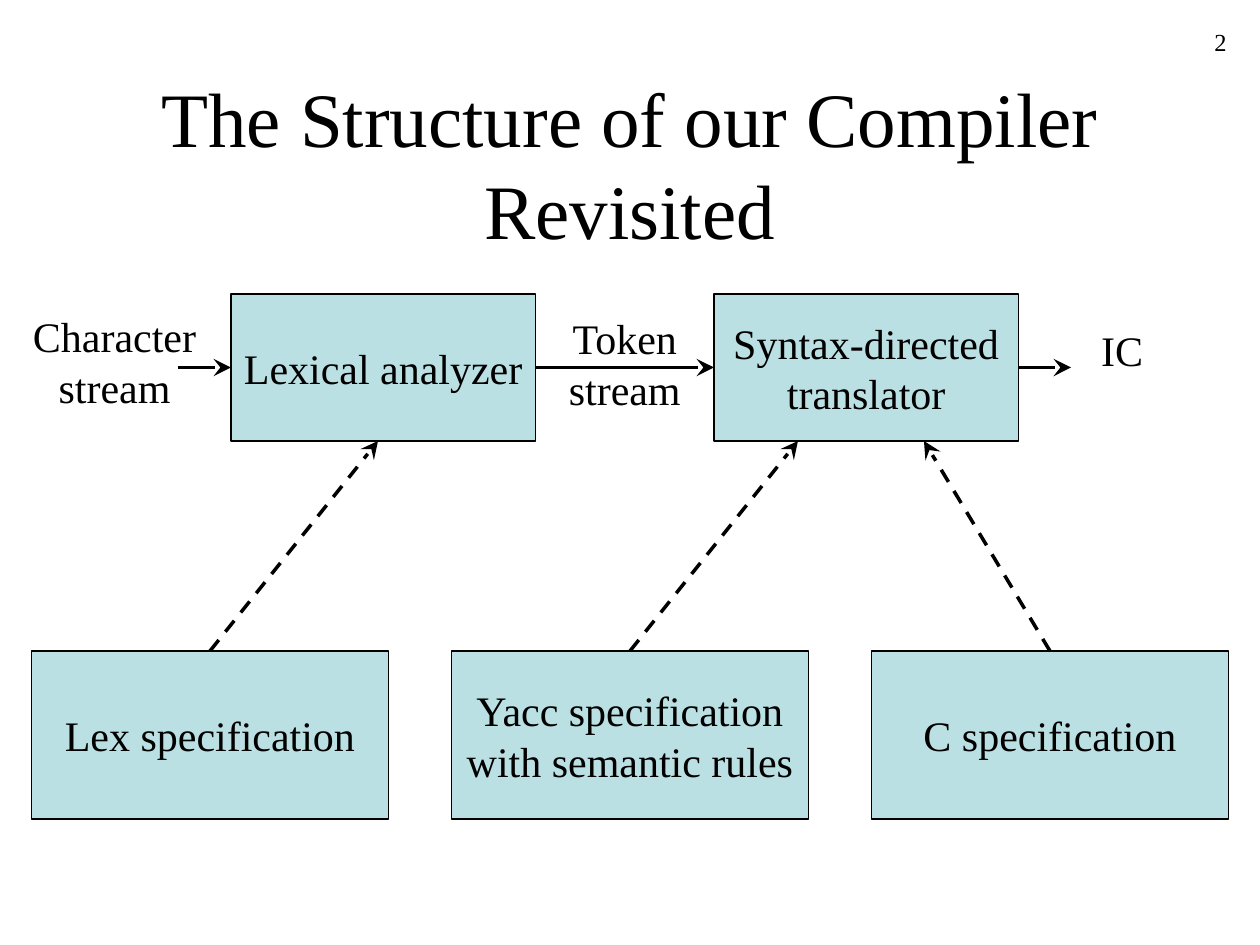
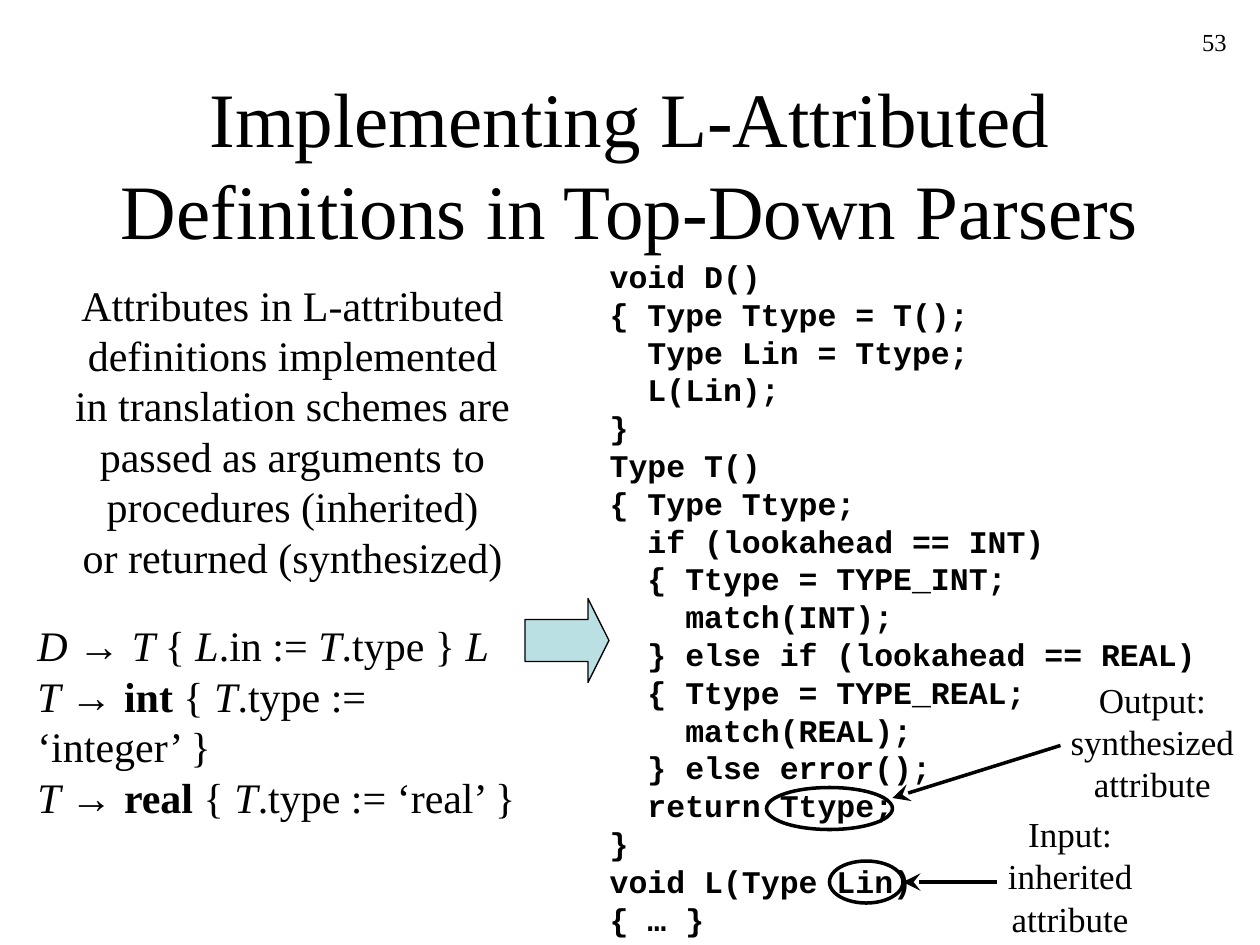
from lxml import etree
from pptx import Presentation
from pptx.dml.color import RGBColor
from pptx.enum.dml import MSO_LINE
from pptx.enum.shapes import MSO_CONNECTOR, MSO_SHAPE
from pptx.enum.text import MSO_ANCHOR, MSO_AUTO_SIZE, PP_ALIGN
from pptx.oxml.ns import qn
from pptx.util import Pt

LEFT, CENTER, RIGHT = PP_ALIGN.LEFT, PP_ALIGN.CENTER, PP_ALIGN.RIGHT
TOP, MIDDLE = MSO_ANCHOR.TOP, MSO_ANCHOR.MIDDLE
NO_FIT, GROW = MSO_AUTO_SIZE.NONE, MSO_AUTO_SIZE.SHAPE_TO_FIT_TEXT
RECT, OVAL, BLOCK_ARROW = MSO_SHAPE.RECTANGLE, MSO_SHAPE.OVAL, MSO_SHAPE.RIGHT_ARROW
STRAIGHT, DASH = MSO_CONNECTOR.STRAIGHT, MSO_LINE.DASH

COLORS = {"ink": "000000", "paper": "FFFFFF", "panel": "BBE0E3"}
SERIF, SANS, MONO = "Times New Roman", "Arial", "Courier New"
LEADING = 1.2

# Span styles used inside the grammar rules
ITALIC, BOLD, SYMBOL = {"italic": True}, {"bold": True}, {"font": SANS}

CODE = """void D()
{ Type Ttype = T();
  Type Lin = Ttype;
  L(Lin);
}
Type T()
{ Type Ttype;
  if (lookahead == INT)
  { Ttype = TYPE_INT;
    match(INT);
  } else if (lookahead == REAL)
  { Ttype = TYPE_REAL;
    match(REAL);
  } else error();
  return Ttype;
}
void L(Type Lin)
{ … }"""

ATTRIBUTE_NOTE = """Attributes in L-attributed
definitions implemented
in translation schemes are
passed as arguments to
procedures (inherited)
or returned (synthesized)"""


def color(name):
    return RGBColor.from_string(COLORS[name])


def write(box, text, size=24, font=SERIF, bold=False, align=CENTER,
          anchor=TOP, wrap=False, fit=NO_FIT):
    """Fill a box with a string, or with a list of (string, style) spans."""
    frame = box.text_frame
    frame.word_wrap, frame.auto_size, frame.vertical_anchor = wrap, fit, anchor
    para = frame.paragraphs[0]
    para.alignment, para.line_spacing = align, Pt(size * LEADING)
    for words, style in [(text, {})] if isinstance(text, str) else text:
        for index, line in enumerate(words.split("\n")):
            if index:
                para.add_line_break()
            if not line:
                continue
            span = para.add_run()
            span.text = line
            span.font.name = style.get("font", font)
            span.font.size = Pt(size)
            span.font.bold = style.get("bold", bold)
            span.font.italic = style.get("italic", False)
            span.font.color.rgb = color("ink")


def add_text(page, left, top, width, height, text, **style):
    box = page.shapes.add_textbox(Pt(left), Pt(top), Pt(width), Pt(height))
    write(box, text, **style)


def add_figure(page, kind, left, top, width, height, fill="panel", weight=0.75):
    box = page.shapes.add_shape(kind, Pt(left), Pt(top), Pt(width), Pt(height))
    box.shadow.inherit = False
    if fill:
        box.fill.solid()
        box.fill.fore_color.rgb = color(fill)
    else:
        box.fill.background()
    box.line.color.rgb = color("ink")
    box.line.width = Pt(weight)
    return box


def add_arrow(page, start, end, dashed=False):
    arrow = page.shapes.add_connector(
        STRAIGHT, Pt(start[0]), Pt(start[1]), Pt(end[0]), Pt(end[1]))
    arrow.line.color.rgb = color("ink")
    arrow.line.width = Pt(2)
    if dashed:
        arrow.line.dash_style = DASH
    etree.SubElement(arrow.line._get_or_add_ln(), qn("a:tailEnd"),
                     type="stealth", w="lg", len="lg")
    etree.SubElement(arrow._element.spPr, qn("a:effectLst"))


def add_page(deck, title, number):
    page = deck.slides.add_slide(deck.slide_layouts[5])
    page.background.fill.solid()
    page.background.fill.fore_color.rgb = color("paper")
    heading = page.shapes.title
    heading.left, heading.top = Pt(54), Pt(48)
    heading.width, heading.height = Pt(612), Pt(90)
    write(heading, title, size=44, anchor=MIDDLE, wrap=True)
    add_text(page, 558, 12, 150, 36, number, size=14, align=RIGHT, wrap=True)
    return page


def add_pipeline(page, left, top):
    """Two compiler stages with the streams that flow between them."""
    width, height, pitch = 174, 84, 276
    stages = ["Lexical analyzer", "Syntax-directed\ntranslator"]
    for index, name in enumerate(stages):
        box = add_figure(page, RECT, left + index * pitch, top, width, height)
        write(box, name, anchor=MIDDLE)
    # Stream labels: offset from the pipeline, size, text
    for x, y, w, h, name in [(-126, 6, 119, 65, "Character\nstream"),
                             (180, 7.3, 90, 65, "Token\nstream"),
                             (450, 13.7, 118.5, 36, "IC")]:
        add_text(page, left + x, top + y, w, h, name, wrap=True, fit=GROW)
    middle = top + height / 2
    for start, end in [(-30, 0), (width, pitch), (pitch + width, pitch + width + 30)]:
        add_arrow(page, (left + start, middle), (left + end, middle))


def add_specifications(page, left, top, rise):
    """A row of specifications, each with a dashed arrow up to its stage."""
    width, height, pitch = 204, 96, 240
    specifications = [("Lex specification", 96),
                      ("Yacc specification\nwith semantic rules", 96),
                      ("C specification", -72)]
    for index, (name, shift) in enumerate(specifications):
        x = left + index * pitch
        box = add_figure(page, RECT, x, top, width, height)
        write(box, name, anchor=MIDDLE)
        center = x + width / 2
        add_arrow(page, (center, top), (center + shift, top - rise), dashed=True)


def add_grammar(page, left, top):
    """Translation scheme and the note above it."""
    add_text(page, left + 16, top, 274, 180, ATTRIBUTE_NOTE, wrap=True, fit=GROW)
    rules = [("D ", ITALIC), ("→ ", SYMBOL), ("T ", ITALIC), ("{ ", {}),
             ("L", ITALIC), (".in := ", {}), ("T", ITALIC), (".type } ", {}),
             ("L", ITALIC)]
    for keyword, value in [("int", "integer"), ("real", "real")]:
        rules += [("\nT ", ITALIC), ("→ ", SYMBOL), (keyword, BOLD), (" { ", {}),
                  ("T", ITALIC), (f".type := ‘{value}’ }}", {})]
    add_text(page, left, top + 194.7, 300, 94, rules, align=LEFT, wrap=True, fit=GROW)


def add_code(page, left, top):
    """Parser procedures with the attributes ringed and labelled."""
    add_text(page, left, top, 364, 396, CODE, size=18, font=MONO, bold=True,
             align=LEFT, wrap=True, fit=GROW)
    # Ring position and width, label box, arrow start and end
    for ring, label, name, start, end in [
            ((132.7, 348.7, 42), (221.2, 317.7, 98, 79),
             "Input:\ninherited\nattribute", (228.7, 360.7), (174.7, 360.7)),
            ((96.7, 306.7, 72), (257.2, 240.8, 120, 79),
             "Output:\nsynthesized\nattribute", (264.7, 282.7), (168.7, 312.7))]:
        x, y, width = ring
        add_figure(page, OVAL, left + x, top + y, width, 24, fill=None, weight=2)
        add_arrow(page, (left + start[0], top + start[1]),
                  (left + end[0], top + end[1]))
        x, y, width, height = label
        add_text(page, left + x, top + y, width, height, name, size=20,
                 wrap=True, fit=GROW)


def main():
    deck = Presentation()
    deck.slide_width, deck.slide_height = Pt(720), Pt(540)

    # Compiler structure
    page = add_page(deck, "The Structure of our Compiler Revisited", "2")
    add_pipeline(page, 132, 168)
    add_specifications(page, 18, 372, rise=120)

    # L-attributed definitions
    page = add_page(
        deck, "Implementing L-Attributed Definitions in Top-Down Parsers", "53")
    add_grammar(page, 14.2, 156)
    add_code(page, 341.3, 143.3)
    arrow = add_figure(page, BLOCK_ARROW, 300, 342, 48, 48)
    arrow.adjustments[0], arrow.adjustments[1] = 0.5, 0.25

    deck.save("out.pptx")


if __name__ == "__main__":
    main()
